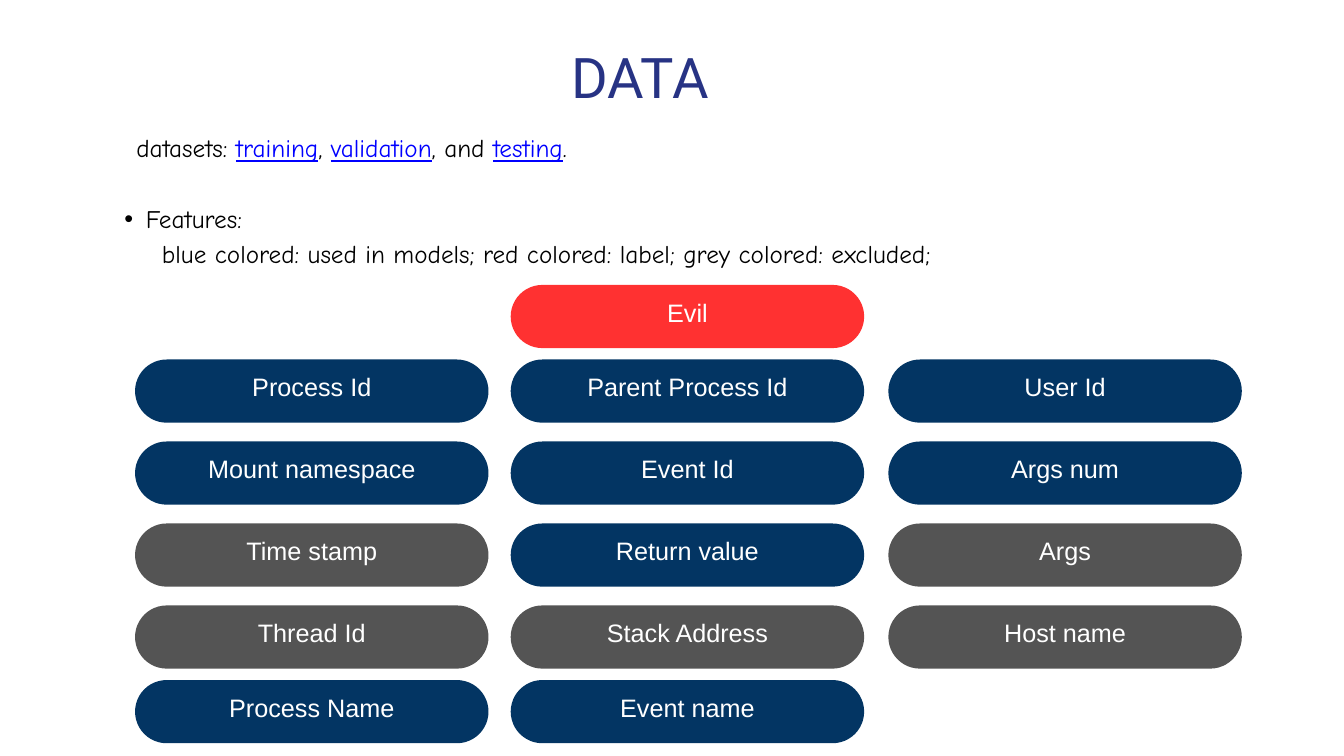
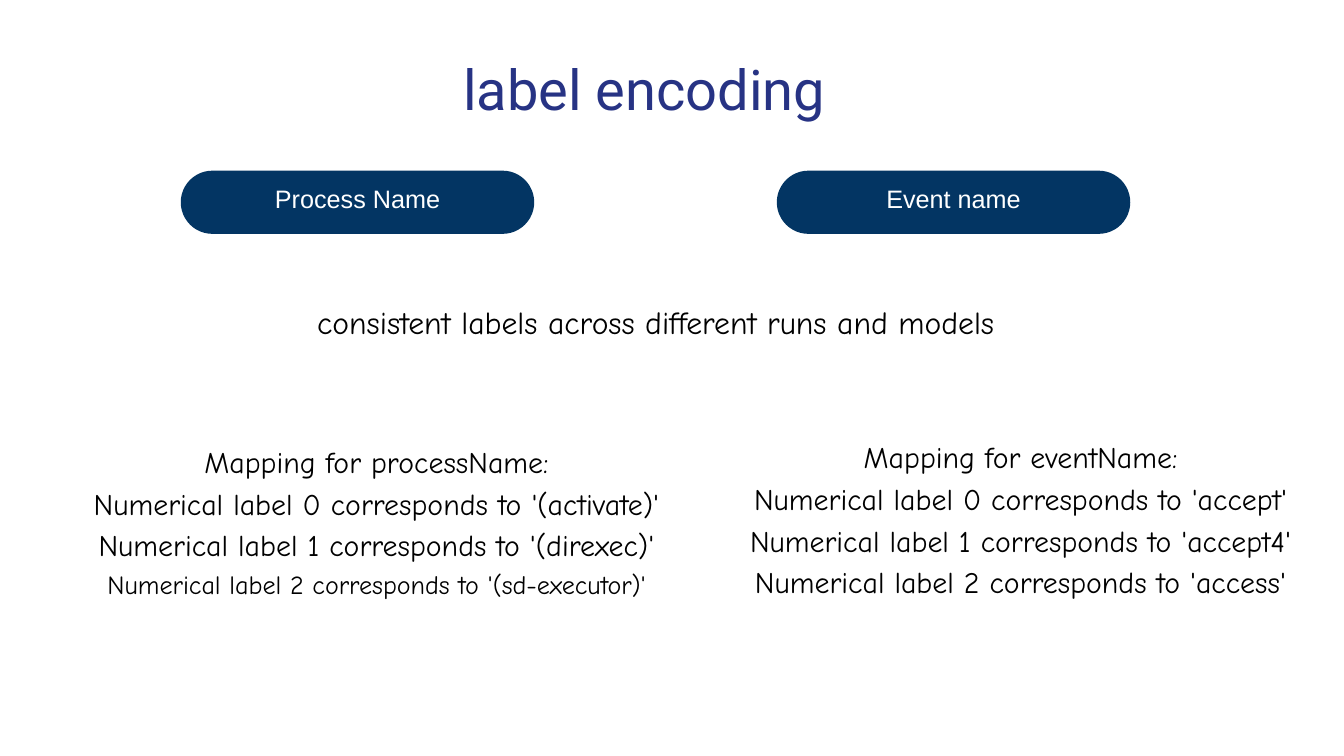
from lxml.etree import SubElement
from pptx import Presentation
from pptx.dml.color import RGBColor
from pptx.enum.shapes import MSO_SHAPE
from pptx.enum.text import MSO_ANCHOR, PP_ALIGN
from pptx.oxml.ns import qn
from pptx.util import Inches, Pt

NAVY, GREY, RED = "033563", "545454", "FF3131"
TITLE, BLACK, WHITE, LINK = "273384", "000000", "FFFFFF", "0000FF"
PILL_W, PILL_H = 5.26, 0.94


def add_text(s, x, y, w, h, lines, size, spacing, font="Comic Neue", color=BLACK, align=PP_ALIGN.CENTER):
    tf = s.shapes.add_textbox(Inches(x), Inches(y), Inches(w), Inches(h)).text_frame
    tf.word_wrap = True
    tf.margin_left = tf.margin_right = tf.margin_top = tf.margin_bottom = 0
    for i, line in enumerate(lines):
        p = tf.add_paragraph() if i else tf.paragraphs[0]
        p.alignment = align
        p.line_spacing = Pt(spacing)
        for j, part in enumerate(line.split("|")):
            r = p.add_run()
            r.text = part
            r.font.size = Pt(size)
            r.font.name = font
            r.font.color.rgb = RGBColor.from_string(LINK if j % 2 else color)
            if j % 2:
                r.font.underline = True
    return tf


def add_pill(s, x, y, label, fill):
    sp = s.shapes.add_shape(MSO_SHAPE.ROUNDED_RECTANGLE, Inches(x), Inches(y), Inches(PILL_W), Inches(PILL_H))
    sp.adjustments[0] = 0.5
    sp.shadow.inherit = False
    sp.fill.solid()
    sp.fill.fore_color.rgb = RGBColor.from_string(fill)
    sp.line.fill.background()
    tf = sp.text_frame
    tf.word_wrap = True
    tf.vertical_anchor = MSO_ANCHOR.MIDDLE
    tf.margin_left = tf.margin_right = tf.margin_top = Inches(0.06)
    tf.margin_bottom = Inches(0.26)
    p = tf.paragraphs[0]
    p.text = label
    p.alignment = PP_ALIGN.CENTER
    p.line_spacing = Pt(37.8)
    r = p.runs[0]
    r.font.size = Pt(27)
    r.font.name = "Arial"
    r.font.color.rgb = RGBColor.from_string(WHITE)


prs = Presentation()
prs.slide_width = Inches(20)
prs.slide_height = Inches(11.25)
blank = prs.slide_layouts[6]

s = prs.slides.add_slide(blank)
add_text(s, 6.22, 0.58, 6.61, 1.05, ["DATA"], 60, 76.2, "Roboto", TITLE)

intro = [
    "datasets: |training|, |validation|, and |testing|.",
    "Features:",
    "blue colored: used in models; red colored: label; grey colored: excluded;",
]
tf = add_text(s, 1.53, 1.9, 16.95, 2.1, intro, 27, 37.8, align=PP_ALIGN.JUSTIFY)
for p, left, hanging in zip(tf.paragraphs, (0.5, 0.64, 0.88), (0, -0.32, 0)):
    pPr = p._p.get_or_add_pPr()
    pPr.set("marL", str(Inches(left)))
    pPr.set("indent", str(Inches(hanging)))
    if hanging:
        SubElement(pPr, qn("a:buFont")).set("typeface", "Arial")
        SubElement(pPr, qn("a:buChar")).set("char", "•")
        p.space_before = Pt(37.8)

columns = [2.01, 7.6, 13.22]
features = [
    (4.24, [None, ("Evil", RED), None]),
    (5.35, [("Process Id", NAVY), ("Parent Process Id", NAVY), ("User Id", NAVY)]),
    (6.57, [("Mount namespace", NAVY), ("Event Id", NAVY), ("Args num", NAVY)]),
    (7.79, [("Time stamp", GREY), ("Return value", NAVY), ("Args", GREY)]),
    (9.01, [("Thread Id", GREY), ("Stack Address", GREY), ("Host name", GREY)]),
    (10.12, [("Process Name", NAVY), ("Event name", NAVY), None]),
]
for y, row in features:
    for x, feature in zip(columns, row):
        if feature:
            add_pill(s, x, y, *feature)

s = prs.slides.add_slide(blank)
for x, label in [(2.69, "Process Name"), (11.56, "Event name")]:
    add_pill(s, x, 2.54, label, NAVY)
add_text(s, 6.77, 0.65, 5.64, 1.14, ["label encoding"], 60, 84, "Roboto", TITLE)
add_text(s, 4.19, 4.41, 11.14, 0.63, ["consistent labels across different runs and models"], 34, 47.6)

mappings = [
    (0.94, 6.51, 9.33, "processName", ["(activate)", "(direxec)", "(sd-executor)"]),
    (10.74, 6.44, 8.9, "eventName", ["accept", "accept4", "access"]),
]
for x, y, w, name, values in mappings:
    lines = [f"Mapping for {name}:"]
    lines += [f"Numerical label {i} corresponds to '{value}'" for i, value in enumerate(values)]
    tf = add_text(s, x, y, w, 2.4, lines, 32, 44.8)
    if name == "processName":
        p = tf.paragraphs[-1]
        p.line_spacing = Pt(39.2)
        p.runs[0].font.size = Pt(28)

prs.save("out.pptx")
